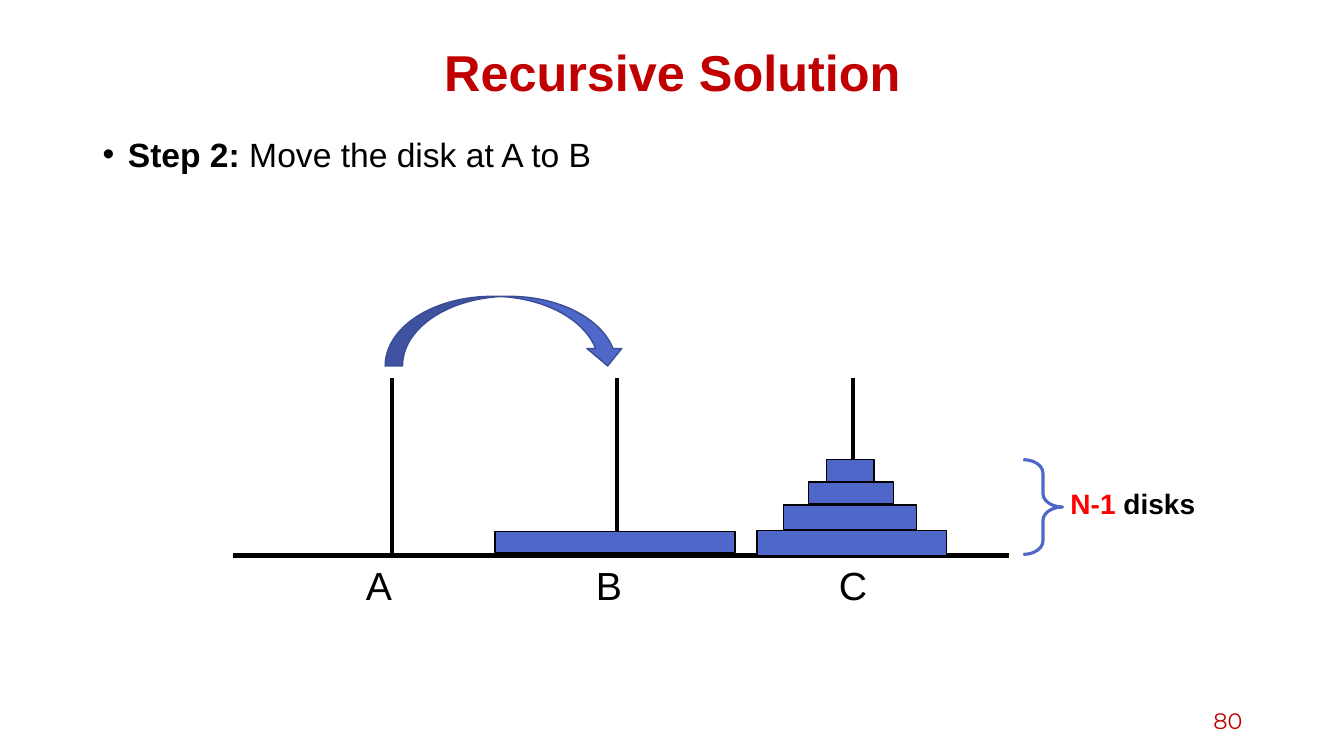
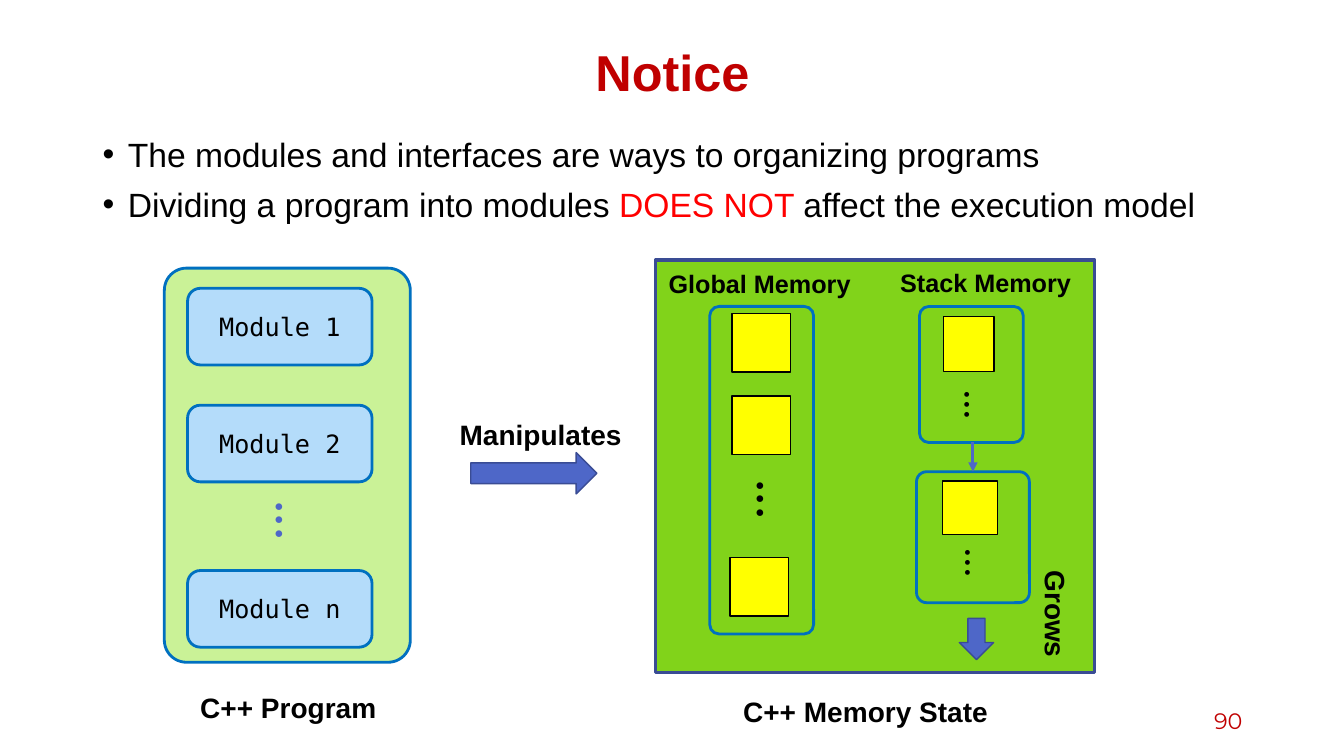
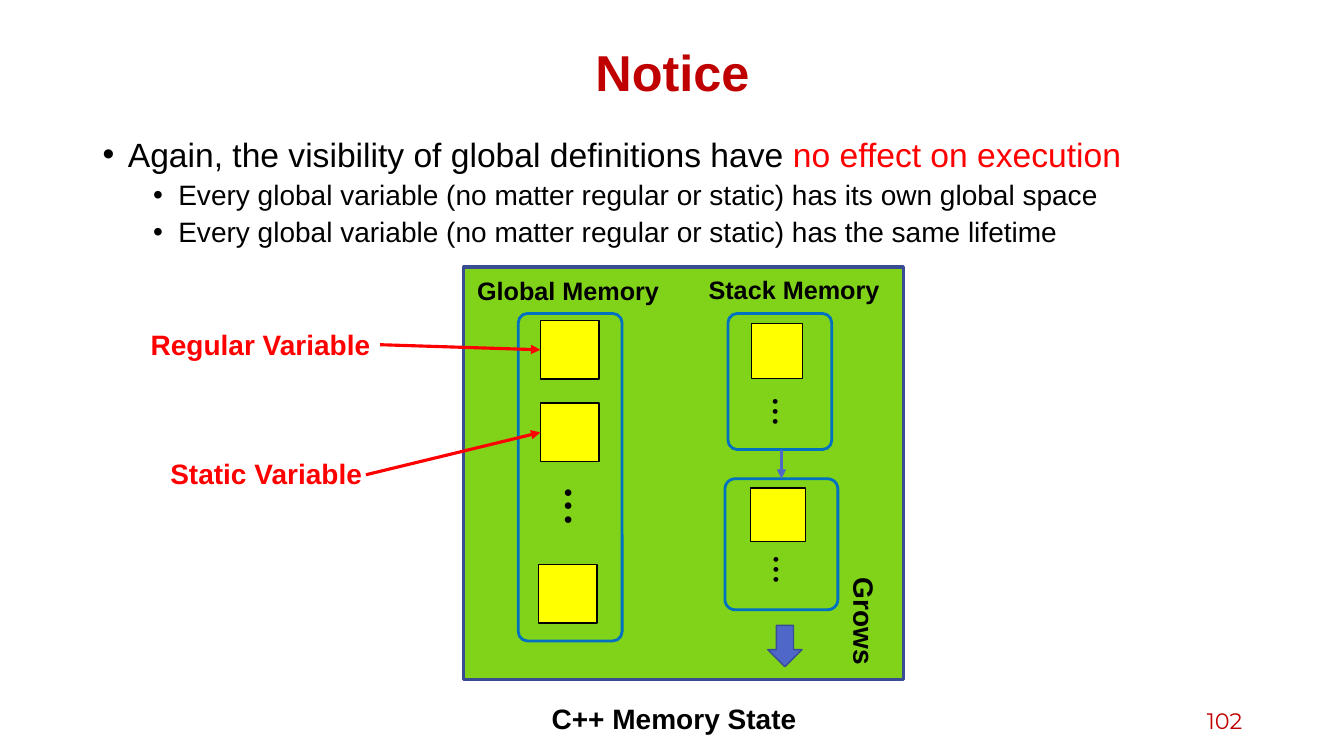
from dataclasses import dataclass

from lxml import etree
from pptx import Presentation
from pptx.dml.color import RGBColor
from pptx.enum.shapes import MSO_CONNECTOR, MSO_SHAPE
from pptx.enum.text import MSO_ANCHOR, PP_ALIGN
from pptx.oxml.ns import qn
from pptx.util import Inches, Pt

BLACK = RGBColor(0x00, 0x00, 0x00)
RED = RGBColor(0xFF, 0x00, 0x00)
CRIMSON = RGBColor(0xC0, 0x00, 0x00)
INDIGO = RGBColor(0x4E, 0x67, 0xC8)
NAVY = RGBColor(0x3A, 0x4C, 0x94)
BLUE = RGBColor(0x00, 0x70, 0xC0)
SKY = RGBColor(0xB4, 0xDC, 0xFA)
YELLOW = RGBColor(0xFF, 0xFF, 0x00)
GREEN = RGBColor(0x81, 0xD3, 0x1A)
LIME = RGBColor(0xCA, 0xF2, 0x97)

RECTANGLE = MSO_SHAPE.RECTANGLE
ROUNDED = MSO_SHAPE.ROUNDED_RECTANGLE
RIGHT_ARROW = MSO_SHAPE.RIGHT_ARROW
DOWN_ARROW = MSO_SHAPE.DOWN_ARROW
CURVED_ARROW = MSO_SHAPE.CURVED_DOWN_ARROW
RIGHT_BRACE = MSO_SHAPE.RIGHT_BRACE
STRAIGHT = MSO_CONNECTOR.STRAIGHT
LEFT, CENTER, RIGHT = PP_ALIGN.LEFT, PP_ALIGN.CENTER, PP_ALIGN.RIGHT
TOP, MIDDLE = MSO_ANCHOR.TOP, MSO_ANCHOR.MIDDLE

SANS, MONO, NUMERALS = "Arial", "DejaVu Sans Mono", "Montserrat"
BODY = {"name": SANS, "size": 24, "bold": False, "color": BLACK}
TITLE = BODY | {"size": 36, "bold": True, "color": CRIMSON}
SUBPOINT = BODY | {"size": 20}
LABEL = SUBPOINT | {"bold": True}
HEADING = LABEL | {"size": 18}
ALERT = LABEL | {"color": RED}
PEG_LETTER = BODY | {"size": 28}
CODE = BODY | {"name": MONO, "size": 18}
NUMBER = BODY | {"name": NUMERALS, "size": 16, "color": CRIMSON}
DOTS = BODY | {"size": 11}
SMALL_DOTS = BODY | {"size": 8}

CORNER = 0.09
DOT_TEXT = "● ● ●"


@dataclass
class Box:
    """A rectangle in inches whose areas are given in percent of its size."""

    left: float
    top: float
    width: float
    height: float

    def point(self, column, row):
        """Return the place at a percentage across and down."""
        return self.left + self.width * column / 100, self.top + self.height * row / 100

    def area(self, column, row, columns, rows):
        """Return the box of an area."""
        return Box(*self.point(column, row), self.width * columns / 100, self.height * rows / 100)

    def lengths(self):
        """Return left, top, width and height as lengths."""
        return [Inches(value) for value in (self.left, self.top, self.width, self.height)]


PAGE = Box(0, 0, 13.33, 7.5)


def add_run(paragraph, text, style):
    """Add a run in the given style."""
    run = paragraph.add_run()
    run.text = text
    for name, value in style.items():
        if name == "color":
            run.font.color.rgb = value
        else:
            setattr(run.font, name, Pt(value) if name == "size" else value)


def add_text(slide, box, runs, align=LEFT, anchor=TOP, rotation=0, spacing=None):
    """Add a text box with one paragraph made of (text, style) runs."""
    shape = slide.shapes.add_textbox(*box.lengths())
    shape.rotation = rotation
    frame = shape.text_frame
    frame.word_wrap, frame.vertical_anchor = True, anchor
    paragraph = frame.paragraphs[0]
    paragraph.alignment, paragraph.line_spacing = align, spacing
    for text, style in runs:
        add_run(paragraph, text, style)


def add_figure(slide, kind, box, fill, line, width=1, corner=None):
    """Add a preset shape with flat fill and line."""
    shape = slide.shapes.add_shape(kind, *box.lengths())
    shape.shadow.inherit = False
    if fill is None:
        shape.fill.background()
    else:
        shape.fill.solid()
        shape.fill.fore_color.rgb = fill
    shape.line.color.rgb = line
    shape.line.width = Pt(width)
    if corner is not None:
        shape.adjustments[0] = corner
    return shape


def add_line(slide, start, end, color, width, arrow=False):
    """Add a straight line, with an arrowhead at its end if wanted."""
    ends = [Inches(value) for value in (*start, *end)]
    connector = slide.shapes.add_connector(STRAIGHT, *ends)
    connector.line.color.rgb = color
    connector.line.width = Pt(width)
    properties = connector._element.spPr
    if arrow:
        etree.SubElement(properties.find(qn("a:ln")), qn("a:tailEnd"), type="triangle")
    etree.SubElement(properties, qn("a:effectLst"))


def add_bullets(slide, box, points):
    """Add bulleted paragraphs given as (level, runs)."""
    frame = slide.shapes.add_textbox(*box.lengths()).text_frame
    frame.word_wrap = True
    for index, (level, runs) in enumerate(points):
        paragraph = frame.add_paragraph() if index else frame.paragraphs[0]
        layout = {"level": level, "line_spacing": 0.9, "space_before": Pt(5 if level else 10)}
        for name, value in layout.items():
            setattr(paragraph, name, value)
        properties = paragraph._p.get_or_add_pPr()
        properties.set("marL", str(Inches(0.25 + level * 0.5)))
        properties.set("indent", str(Inches(-0.25)))
        etree.SubElement(properties, qn("a:buFont"), typeface=SANS)
        etree.SubElement(properties, qn("a:buChar"), char="•")
        for text, style in runs:
            add_run(paragraph, text, style)


def add_page(presentation, title, number, points):
    """Add a slide with its title, bullets and number."""
    slide = presentation.slides.add_slide(presentation.slide_layouts[6])
    add_text(slide, PAGE.area(6.9, 5.33, 86.27, 9.33), [(title, TITLE)], CENTER, MIDDLE, spacing=0.9)
    add_bullets(slide, PAGE.area(6.9, 17.6, 86.27, 73.47), points)
    add_text(slide, PAGE.area(70.67, 92.67, 22.51, 5.33), [(number, NUMBER)], RIGHT, MIDDLE)
    return slide


def draw_towers(slide, box):
    """Draw the three pegs, their disks, the move and the disk count."""
    add_line(slide, box.point(0, 100), box.point(100, 100), BLACK, 3)
    for letter, peg, middle in (("A", 20.52, 18.83), ("B", 49.48, 48.44), ("C", 79.87, 79.87)):
        add_line(slide, box.point(peg, 0), box.point(peg, 100), BLACK, 3)
        add_text(slide, box.area(middle - 5, 100.57, 10, 30), [(letter, PEG_LETTER)], CENTER)
    disks = (
        (33.77, 86.36, 30.91, 11.93),
        (67.53, 85.8, 24.42, 14.2),
        (70.91, 71.59, 17.14, 14.2),
        (74.16, 58.52, 10.91, 12.5),
        (76.49, 46.02, 6.1, 12.5),
    )
    for disk in disks:
        add_figure(slide, RECTANGLE, box.area(*disk), INDIGO, BLACK)
    add_figure(slide, CURVED_ARROW, box.area(19.61, -46.02, 30.91, 39.2), INDIGO, NAVY)
    add_figure(slide, RIGHT_BRACE, box.area(101.82, 46.02, 5.06, 53.41), None, INDIGO, 2.25, 0.34)
    add_text(slide, box.area(106.62, 58.52, 20.65, 25), [("N-1", ALERT), (" disks", LABEL)])


def draw_program(slide, box):
    """Draw the program as a column of modules."""
    add_figure(slide, ROUNDED, box, LIME, BLUE, 2, CORNER)
    for name, row in (("1", 5.12), ("2", 34.78), ("n", 76.73)):
        module = add_figure(slide, ROUNDED, box.area(9.43, row, 75, 19.44), SKY, BLUE, 2)
        module.text_frame.vertical_anchor = MIDDLE
        paragraph = module.text_frame.paragraphs[0]
        paragraph.alignment = CENTER
        add_run(paragraph, f"Module {name}", CODE)
    dots = [(DOT_TEXT, DOTS | {"color": INDIGO})]
    add_text(slide, box.area(29.92, 63.94, 34.43, 7.42), dots, rotation=90)
    add_text(slide, box.area(3.28, 105.88, 94.26, 11.25), [("C++ Program", LABEL)], CENTER)


def draw_stack_frame(slide, box):
    """Draw one stack frame with its first cell and dots."""
    add_figure(slide, RECTANGLE, box.area(22.8, 7.2, 48.8, 40.8), YELLOW, BLACK)
    add_figure(slide, ROUNDED, box, None, BLUE, 2, CORNER)
    add_text(slide, box.area(12, 74.5, 71, 16), [(DOT_TEXT, SMALL_DOTS)], rotation=90)


def draw_memory(slide, box):
    """Draw the memory state: global cells beside a growing stack."""
    add_figure(slide, RECTANGLE, box, GREEN, NAVY, 2.25)
    for column, row in ((17.43, 12.96), (17.43, 33.01), (16.97, 72.13)):
        add_figure(slide, RECTANGLE, box.area(column, row, 13.3, 14.18), YELLOW, BLACK)
    add_text(slide, box.area(14.45, 57.95, 19.27, 7.09), [(DOT_TEXT, DOTS)], rotation=90)
    add_figure(slide, ROUNDED, box.area(12.39, 11.25, 23.62, 79.46), None, BLUE, 2, CORNER)
    draw_stack_frame(slide, box.area(60.09, 11.25, 23.62, 33.01))
    draw_stack_frame(slide, box.area(59.4, 51.34, 25.69, 31.78))
    add_line(slide, box.point(72.25, 44.26), box.point(72.25, 51.34), INDIGO, 2.25, True)
    add_figure(slide, DOWN_ARROW, box.area(69.15, 86.92, 7.8, 10.02), INDIGO, NAVY)
    add_text(slide, box.area(78.21, 81.17, 25.69, 10.76), [("Grows", LABEL)], rotation=90)
    for heading, column, row in (("Stack Memory", 51.38, 0.49), ("Global Memory", 0, 0.73)):
        add_text(slide, box.area(column, row, 47.48, 9.78), [(heading, HEADING)], CENTER)
    add_text(slide, box.area(11.7, 104.16, 72.25, 10.76), [("C++ Memory State", LABEL)], CENTER)


def build_recursion(presentation):
    """Build the slide on the second step of the recursion."""
    points = [(0, [("Step 2: ", BODY | {"bold": True}), ("Move the disk at A to B", BODY)])]
    slide = add_page(presentation, "Recursive Solution", "80", points)
    draw_towers(slide, PAGE.area(17.33, 50, 57.76, 23.47))


def build_modules(presentation):
    """Build the slide on modules and the execution model."""
    points = [
        (0, [("The modules and interfaces are ways to organizing programs", BODY)]),
        (0, [
            ("Dividing a program into modules ", BODY),
            ("DOES NOT ", BODY | {"color": RED}),
            ("affect the execution model", BODY),
        ]),
    ]
    slide = add_page(presentation, "Notice", "90", points)
    draw_memory(slide, PAGE.area(48.76, 34.4, 32.71, 54.53))
    draw_program(slide, PAGE.area(12.23, 35.47, 18.3, 52.13))
    add_figure(slide, RIGHT_ARROW, PAGE.area(35.03, 59.87, 9.38, 5.47), INDIGO, NAVY)
    add_text(slide, PAGE.area(33.46, 54.53, 14.63, 5.87), [("Manipulates", LABEL)])


def build_visibility(presentation):
    """Build the slide on the visibility of global definitions."""
    variable = "Every global variable (no matter regular or static) has "
    points = [
        (0, [
            ("Again, the visibility of global definitions have ", BODY),
            ("no effect on execution", BODY | {"color": RED}),
        ]),
        (1, [(variable + "its own global space", SUBPOINT)]),
        (1, [(variable + "the same lifetime", SUBPOINT)]),
    ]
    slide = add_page(presentation, "Notice", "102", points)
    draw_memory(slide, PAGE.area(34.51, 35.33, 32.71, 54.53))
    variables = (
        ("Regular Variable", (8.25, 42.67, 22.28, 5.87), (28.28, 45.6), (40.21, 46.27)),
        ("Static Variable", (10.13, 59.73, 19.35, 5.87), (27.23, 62.8), (40.21, 57.2)),
    )
    for name, place, start, end in variables:
        add_text(slide, PAGE.area(*place), [(name, ALERT)], CENTER)
        add_line(slide, PAGE.point(*start), PAGE.point(*end), RED, 2.25, True)


def main():
    """Build and save the presentation."""
    presentation = Presentation()
    presentation.slide_width = Inches(PAGE.width)
    presentation.slide_height = Inches(PAGE.height)
    for build in (build_recursion, build_modules, build_visibility):
        build(presentation)
    presentation.save("out.pptx")


if __name__ == "__main__":
    main()
